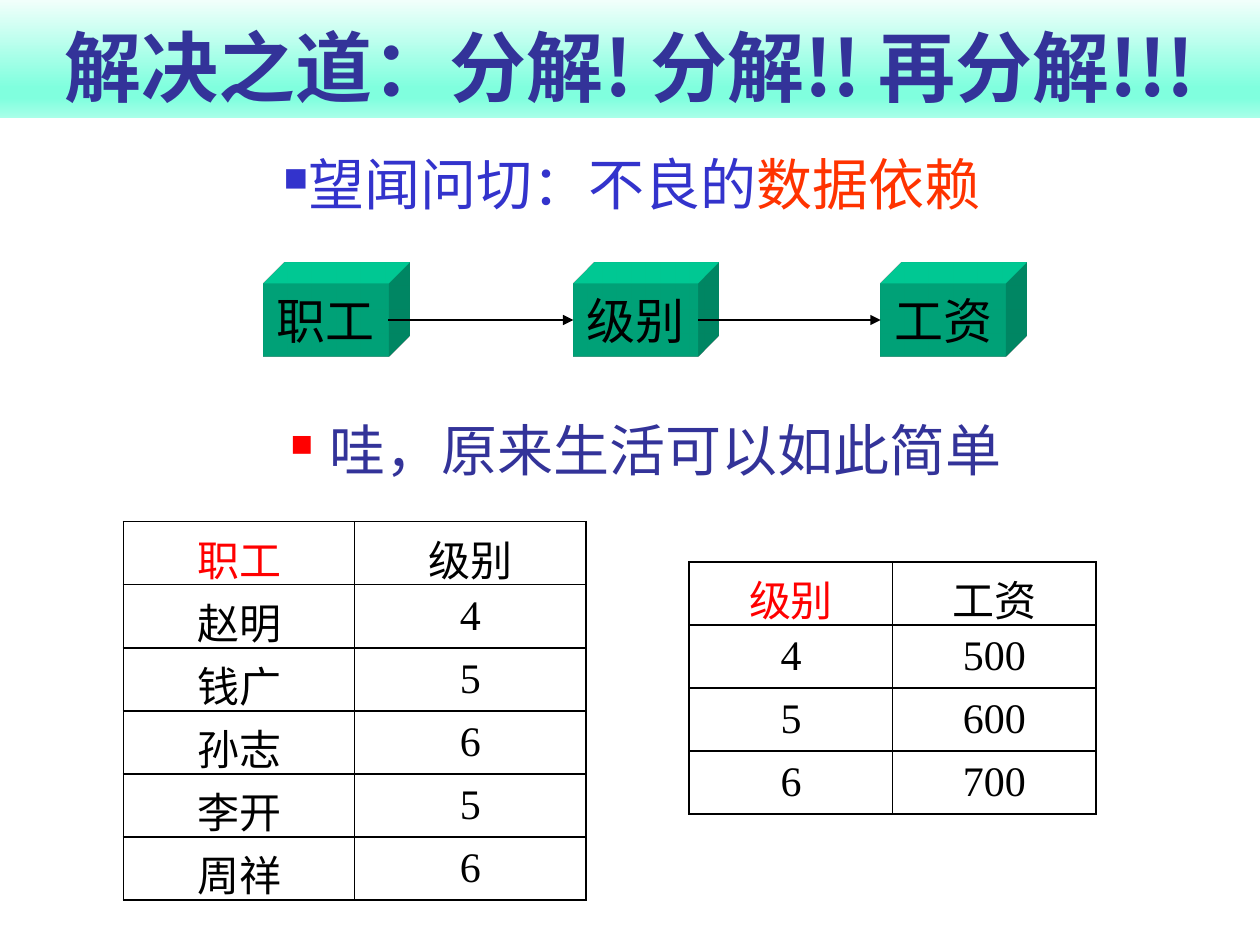
from lxml import etree
from pptx import Presentation, util as u
from pptx.dml.color import RGBColor
from pptx.enum import shapes, text
from pptx.oxml import parse_xml
from pptx.oxml.ns import qn

NS = 'xmlns:a="http://schemas.openxmlformats.org/drawingml/2006/main"'
CJK, LATIN, SERIF = "Noto Sans CJK SC", "Roboto", "Times New Roman"
INK, NAVY, BLUE, RED = "000000", "333399", "3333CC", "FF0000"


def rgb(value):
    return RGBColor.from_string(value)


class Slide:
    """The current page, measured in inches on a 10 by 7.5 grid."""

    def __init__(self, deck):
        self.page = deck.slides.add_slide(deck.slide_layouts[5])

    def area(self, *lengths):
        return [u.Inches(length) for length in lengths]

    def style(self, span, size, face, colour, bold=False):
        font = span.font
        font.size, font.name, font.bold = u.Pt(size), face, bold
        font.color.rgb = rgb(colour)
        if face == CJK:
            etree.SubElement(span._r.get_or_add_rPr(), qn("a:ea")).set("typeface", face)

    def title(self, words, at, stops):
        box = self.page.shapes.title
        box.left, box.top, box.width, box.height = self.area(*at)
        marks = "".join(f'<a:gs pos="{place * 1000}"><a:srgbClr val="{colour}"/></a:gs>'
                        for place, colour in stops)
        box._element.spPr.append(parse_xml(
            f'<a:gradFill {NS}><a:gsLst>{marks}</a:gsLst><a:lin ang="5400000"/></a:gradFill>'))
        frame = box.text_frame
        frame.auto_size = text.MSO_AUTO_SIZE.NONE
        frame.vertical_anchor = text.MSO_ANCHOR.BOTTOM
        frame.text = words
        para = frame.paragraphs[0]
        para.alignment = text.PP_ALIGN.CENTER
        self.style(para.runs[0], 44, CJK, NAVY, bold=True)

    def bullet(self, at, parts, face, mark, share, wrap=True, margin=0, indent=0):
        frame = self.page.shapes.add_textbox(*self.area(*at)).text_frame
        frame.word_wrap = wrap
        para = frame.paragraphs[0]
        para.alignment = text.PP_ALIGN.CENTER if wrap else text.PP_ALIGN.LEFT
        props = para._p.get_or_add_pPr()
        props.set("marL", str(u.Inches(margin)))
        props.set("indent", str(u.Inches(indent)))
        for item in (f'<a:buClr {NS}><a:srgbClr val="{mark}"/></a:buClr>',
                     f'<a:buSzPct {NS} val="{share * 1000}"/>',
                     f'<a:buChar {NS} char="■"/>'):
            props.append(parse_xml(item))
        for words, colour in parts:
            span = para.add_run()
            span.text = words
            self.style(span, 32, face, colour)

    def block(self, words, at):
        box = self.page.shapes.add_shape(shapes.MSO_SHAPE.RECTANGLE, *self.area(*at))
        box.shadow.inherit = False
        box.fill.solid()
        box.fill.fore_color.rgb = rgb("00E4A8")
        box.line.fill.background()
        # Extrude the face towards the upper right
        for item in (f'<a:scene3d {NS}><a:camera prst="legacyObliqueTopRight"/>'
                     '<a:lightRig rig="legacyFlat3" dir="r"/></a:scene3d>',
                     f'<a:sp3d {NS} extrusionH="430200" prstMaterial="legacyMatte">'
                     '<a:extrusionClr><a:srgbClr val="00E4A8"/></a:extrusionClr></a:sp3d>'):
            box._element.spPr.append(parse_xml(item))
        frame = box.text_frame
        frame.word_wrap = False
        frame.vertical_anchor = text.MSO_ANCHOR.MIDDLE
        frame.text = words
        para = frame.paragraphs[0]
        para.alignment = text.PP_ALIGN.CENTER
        self.style(para.runs[0], 28, LATIN, INK)
        return box

    def arrow(self, start, end):
        line = self.page.shapes.add_connector(shapes.MSO_CONNECTOR.STRAIGHT, 0, 0, 0, 0)
        line.begin_connect(start, 3)
        line.end_connect(end, 1)
        line.line.width = u.Pt(0.75)
        line.line.color.rgb = rgb(INK)
        line.line._get_or_add_ln().append(parse_xml(f'<a:tailEnd {NS} type="triangle"/>'))
        line._element.spPr.append(parse_xml(f"<a:effectLst {NS}/>"))

    def table(self, left, top, width, rows, row_height=0.5):
        at = self.area(left, top, width, row_height * len(rows))
        grid = self.page.shapes.add_table(len(rows), len(rows[0]), *at).table
        grid.horz_banding = grid.first_row = False
        for r, values in enumerate(rows):
            for c, value in enumerate(values):
                self.cell(grid.cell(r, c), value, RED if r == c == 0 else INK)

    def cell(self, cell, value, colour):
        cell.text = value
        cell.vertical_anchor = text.MSO_ANCHOR.MIDDLE
        para = cell.text_frame.paragraphs[0]
        para.alignment = text.PP_ALIGN.CENTER
        self.style(para.runs[0], 24, SERIF, colour)
        props = cell._tc.get_or_add_tcPr()
        for side in ("lnL", "lnR", "lnT", "lnB"):
            props.append(parse_xml(
                f'<a:{side} {NS} w="12700"><a:solidFill><a:srgbClr val="{INK}"/>'
                f'</a:solidFill></a:{side}>'))
        cell.fill.background()


def main():
    deck = Presentation()
    deck.slide_width, deck.slide_height = u.Inches(10), u.Inches(7.5)
    slide = Slide(deck)

    # Title band
    slide.title("解决之道：分解! 分解!! 再分解!!!", (0, 0, 10, 0.94),
                [(0, "F1FFFB"), (74, "80FFDE"), (83, "80FFDE"), (100, "AAFFE9")])

    # Headings
    slide.bullet((1.22, 3.25, 7.32, 0.74), [("哇，原来生活可以如此简单", NAVY)],
                 CJK, RED, 55, margin=0.81, indent=-0.31)
    slide.bullet((2.15, 1.14, 5.79, 0.64),
                 [("望闻问切：不良的", BLUE), ("数据依赖", "FF3300")],
                 LATIN, BLUE, 60, wrap=False)

    # Dependency chain
    chain = [slide.block(words, (left, 2.25, 0.99, 0.58))
             for words, left in (("职工", 2.09), ("级别", 4.55), ("工资", 6.99))]
    for start, end in zip(chain, chain[1:]):
        slide.arrow(start, end)

    # Decomposed tables
    slide.table(0.98, 4.14, 3.67, [
        ("职工", "级别"), ("赵明", "4"), ("钱广", "5"),
        ("孙志", "6"), ("李开", "5"), ("周祥", "6")])
    slide.table(5.47, 4.46, 3.23, [
        ("级别", "工资"), ("4", "500"), ("5", "600"), ("6", "700")])

    deck.save("out.pptx")


if __name__ == "__main__":
    main()
